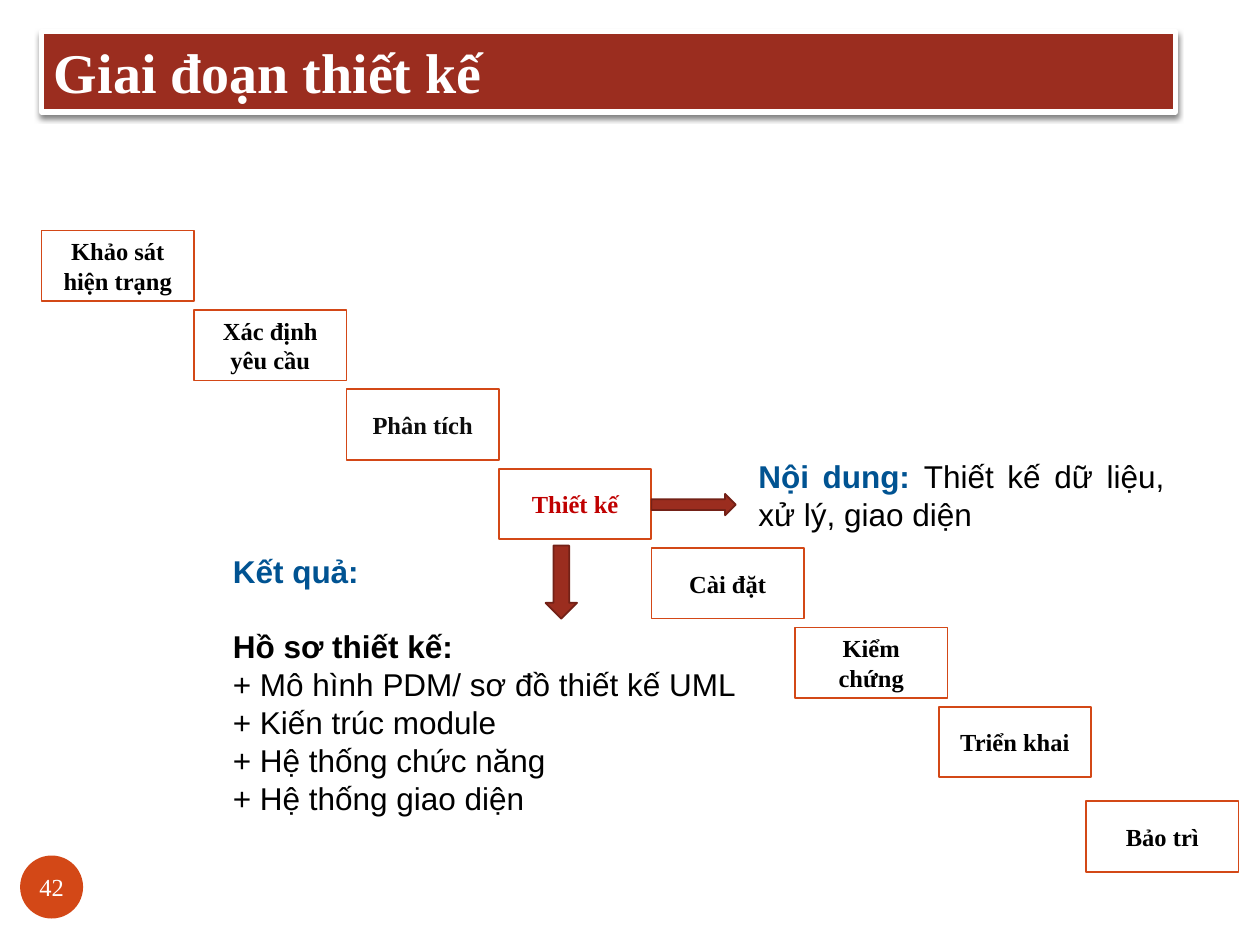
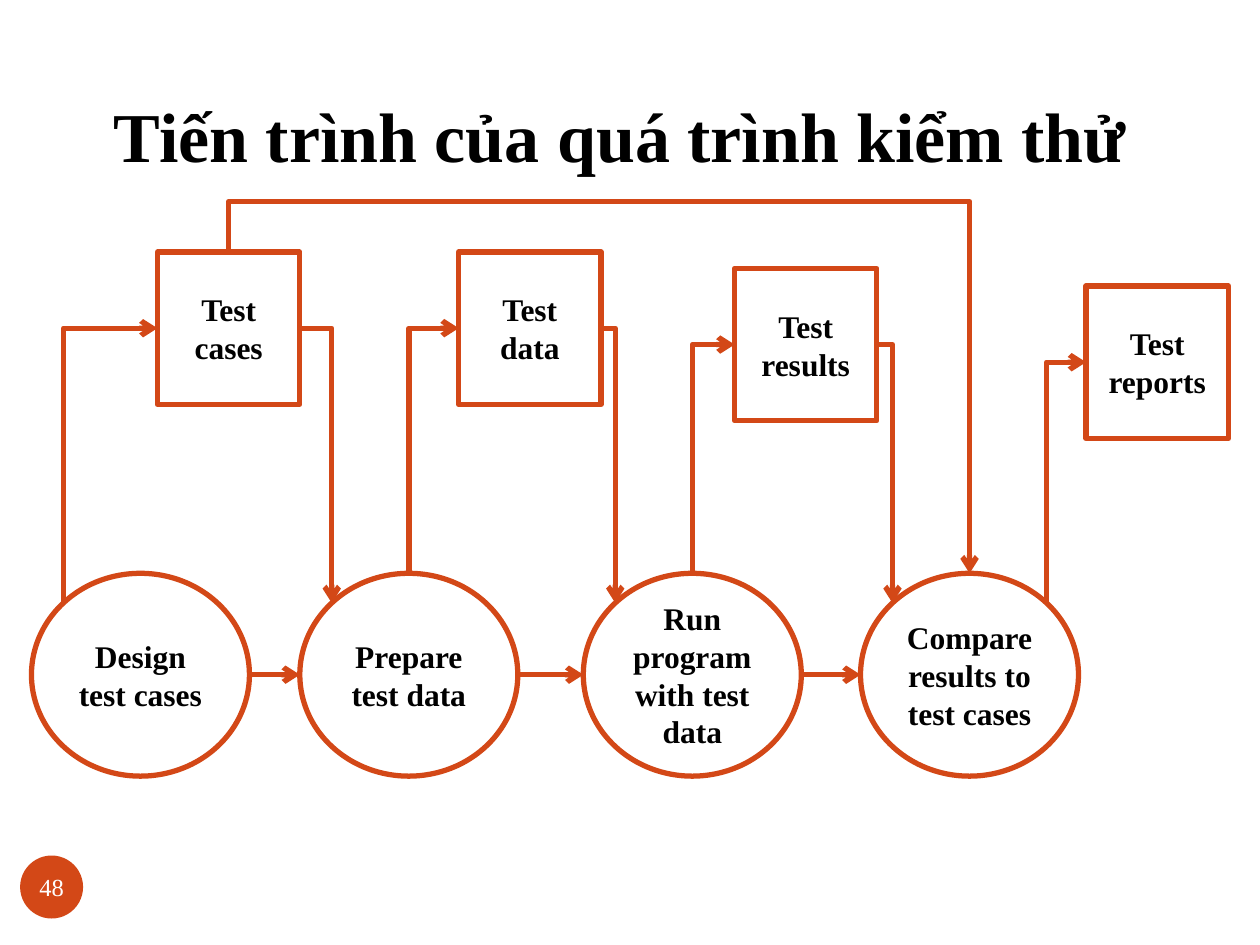
from dataclasses import dataclass
from math import sqrt

from lxml.etree import SubElement
from pptx import Presentation
from pptx.dml.color import RGBColor
from pptx.enum.shapes import MSO_CONNECTOR as CXN, MSO_SHAPE as SHAPE
from pptx.enum.text import MSO_ANCHOR as ANCHOR, MSO_AUTO_SIZE as FIT, PP_ALIGN as ALIGN
from pptx.oxml.ns import qn
from pptx.util import Inches, Pt


@dataclass(frozen=True)
class Theme:
    serif: str = "Times New Roman"
    sans: str = "Arial"
    white: str = "FFFFFF"
    black: str = "000000"
    ink: str = "0D0D0D"
    orange: str = "D34817"
    brick: str = "9B2D1F"
    brick_edge: str = "732117"
    blue: str = "005392"
    red: str = "C00000"
    title: int = 40
    banner: int = 32
    body: int = 18
    small: int = 14


class Deck:
    """Holds the theme and the current slide, and draws each kind of element."""

    def __init__(self, theme):
        self.theme = theme
        self.prs = Presentation()
        self.prs.slide_width, self.prs.slide_height = Inches(10), Inches(7.5)

    def new_slide(self, number):
        t = self.theme
        self.s = self.prs.slides.add_slide(self.prs.slide_layouts[6])
        sp = self.shape(SHAPE.OVAL, (0.16, 6.79, 0.5, 0.5), t.orange)
        self.label(sp, number, t.small, t.white, bold=False)
        tf = sp.text_frame
        tf.word_wrap = False
        tf.margin_left = tf.margin_right = tf.margin_top = tf.margin_bottom = 0

    def shape(self, kind, box, fill, line=None, width=1):
        sp = self.s.shapes.add_shape(kind, *map(Inches, box))
        sp.shadow.inherit = False
        sp.fill.solid()
        sp.fill.fore_color.rgb = RGBColor.from_string(fill)
        if line:
            sp.line.color.rgb = RGBColor.from_string(line)
            sp.line.width = Pt(width)
        else:
            sp.line.fill.background()
        return sp

    def style(self, r, size, color, bold, font):
        r.font.name, r.font.size, r.font.bold = font, Pt(size), bold
        r.font.color.rgb = RGBColor.from_string(color)

    def label(self, sp, text, size, color, bold=True, align=ALIGN.CENTER, anchor=ANCHOR.MIDDLE):
        tf = sp.text_frame
        tf.text = text
        tf.word_wrap = True
        tf.vertical_anchor = anchor
        p = tf.paragraphs[0]
        p.alignment = align
        self.style(p.runs[0], size, color, bold, self.theme.serif)

    def node(self, kind, box, text, size, color, width):
        t = self.theme
        sp = self.shape(kind, box, t.white, t.orange, width)
        self.label(sp, text, size, color)

    def banner(self, text):
        t = self.theme
        sp = self.shape(SHAPE.RECTANGLE, (0.33, 0.25, 9, 0.64), t.brick, t.white, 3)
        self.label(sp, text, t.banner, t.white, align=ALIGN.LEFT, anchor=ANCHOR.TOP)
        sp.text_frame.auto_size = FIT.SHAPE_TO_FIT_TEXT
        effects = sp._element.spPr.find(qn("a:effectLst"))
        shadow = SubElement(effects, qn("a:outerShdw"), blurRad=str(Pt(3)), dist=str(Pt(2)),
                            dir="5400000", rotWithShape="0")
        color = SubElement(shadow, qn("a:srgbClr"), val=t.black)
        SubElement(color, qn("a:alpha"), val="50000")

    def title(self, text):
        t = self.theme
        sp = self.s.shapes.add_textbox(*map(Inches, (0.67, 0.25, 8.5, 1.25)))
        self.label(sp, text, t.title, t.black, anchor=ANCHOR.BOTTOM)
        sp.text_frame.margin_bottom = Inches(0.1)

    def note(self, box, paragraphs, align=ALIGN.LEFT):
        t = self.theme
        tf = self.s.shapes.add_textbox(*map(Inches, box)).text_frame
        tf.word_wrap = True
        tf.auto_size = FIT.SHAPE_TO_FIT_TEXT
        for i, parts in enumerate(paragraphs):
            p = tf.add_paragraph() if i else tf.paragraphs[0]
            p.alignment = align
            for text, color, bold in parts:
                r = p.add_run()
                r.text = text
                self.style(r, t.body, color, bold, t.sans)
        return tf

    def connector(self, kind, start, end):
        c = self.s.shapes.add_connector(kind, *map(Inches, start + end))
        c.line.color.rgb = RGBColor.from_string(self.theme.orange)
        c.line.width = Pt(3)
        SubElement(c.line._get_or_add_ln(), qn("a:tailEnd"), type="arrow")
        SubElement(c._element.spPr, qn("a:effectLst"))
        return c

    def turned(self, start, end, **turn):
        (x1, y1), (x2, y2) = start, end
        cx, cy = (x1 + x2) / 2, (y1 + y2) / 2
        w, h = abs(y2 - y1), abs(x2 - x1)
        c = self.connector(CXN.ELBOW, (cx - w / 2, cy - h / 2), (cx + w / 2, cy + h / 2))
        for name, value in turn.items():
            c._element.spPr.xfrm.set(name, value)
        return c

    def corner(self, c):
        c._element.spPr.find(qn("a:prstGeom")).set("prst", "bentConnector2")

    def across_down(self, start, end):
        self.corner(self.connector(CXN.ELBOW, start, end))

    def up_across(self, start, end):
        self.corner(self.turned(start, end, rot="5400000", flipH="1", flipV="1"))

    def over(self, start, end, rise):
        c = self.turned(start, end, rot="16200000", flipH="1")
        guides = c._element.spPr.find(qn("a:prstGeom")).get_or_add_avLst()
        ratio = round(-100000 * rise / (end[1] - start[1]))
        SubElement(guides, qn("a:gd"), name="adj1", fmla=f"val {ratio}")


def design_phase(deck):
    t = deck.theme
    deck.new_slide("42")
    steps = ["Khảo sát hiện trạng", "Xác định yêu cầu", "Phân tích", "Thiết kế",
             "Cài đặt", "Kiểm chứng", "Triển khai", "Bảo trì"]
    step_colors = {"Phân tích": t.ink, "Thiết kế": t.red}
    step_w, step_h = 1.21, 0.56
    lefts = [0.33 + step_w * i for i in range(5)] + [6.31, 7.45, 8.62]
    tops = [1.83 + 0.63 * i for i in range(7)] + [6.36]
    for step, left, top in zip(steps, lefts, tops):
        deck.node(SHAPE.RECTANGLE, (left, top, step_w, step_h), step, t.small,
                  step_colors.get(step, t.black), 1)

    deck.shape(SHAPE.RIGHT_ARROW, (5.17, 3.92, 0.67, 0.17), t.brick, t.brick_edge)
    deck.shape(SHAPE.DOWN_ARROW, (4.33, 4.33, 0.25, 0.58), t.brick, t.brick_edge)
    deck.note((5.92, 3.58, 3.42, 0.71),
              [[("Nội dung: ", t.blue, True),
                ("Thiết kế dữ liệu, xử lý, giao diện", t.black, False)]], ALIGN.JUSTIFY)
    outputs = ["+ Mô hình PDM/ sơ đồ thiết kế UML", "+ Kiến trúc module",
               "+ Hệ thống chức năng", "+ Hệ thống giao diện"]
    results = deck.note((1.75, 4.33, 4.33, 2.22),
                        [[("Kết quả:", t.blue, True)], [("Hồ sơ thiết kế:", t.black, True)]]
                        + [[(output, t.black, False)] for output in outputs])
    results.paragraphs[1].space_before = Pt(21.6)
    deck.banner("Giai đoạn thiết kế")


def testing_process(deck):
    t = deck.theme
    deck.new_slide("48")
    deck.title("Tiến trình của quá trình kiểm thử")
    product_w, product_h = 1.13, 1.21
    products = [("Test cases", 1.25, 2), ("Test data", 3.64, 2),
                ("Test results", 5.83, 2.13), ("Test reports", 8.62, 2.27)]
    for text, left, top in products:
        deck.node(SHAPE.RECTANGLE, (left, top, product_w, product_h), text, t.body, t.black, 3)

    task_w, task_h, task_top = 1.73, 1.61, 4.55
    tasks = [("Design test cases", 0.25), ("Prepare test data", 2.38),
             ("Run program with test data", 4.63), ("Compare results to test cases", 6.83)]
    for text, left in tasks:
        deck.node(SHAPE.OVAL, (left, task_top, task_w, task_h), text, t.body, t.black, 3)

    centers = [left + task_w / 2 for _, left in tasks]
    middle = task_top + task_h / 2
    reach = task_w / 2 / sqrt(2)
    shoulder = middle - task_h / 2 / sqrt(2)
    exits = [(centers[0] - reach, shoulder), (centers[1], task_top),
             (centers[2], task_top), (centers[3] + reach, shoulder)]
    for (_, left, top), task_exit in zip(products, exits):
        deck.up_across(task_exit, (left, top + product_h / 2))
    for (_, left, top), center in zip(products, centers[1:]):
        deck.across_down((left + product_w, top + product_h / 2), (center - reach, shoulder))
    for (_, left), (_, next_left) in zip(tasks, tasks[1:]):
        deck.connector(CXN.STRAIGHT, (left + task_w, middle), (next_left, middle))
    _, cases_left, cases_top = products[0]
    deck.over((cases_left + product_w / 2, cases_top), (centers[3], task_top), 0.4)


def main():
    deck = Deck(Theme())
    design_phase(deck)
    testing_process(deck)
    deck.prs.save("out.pptx")


if __name__ == "__main__":
    main()
